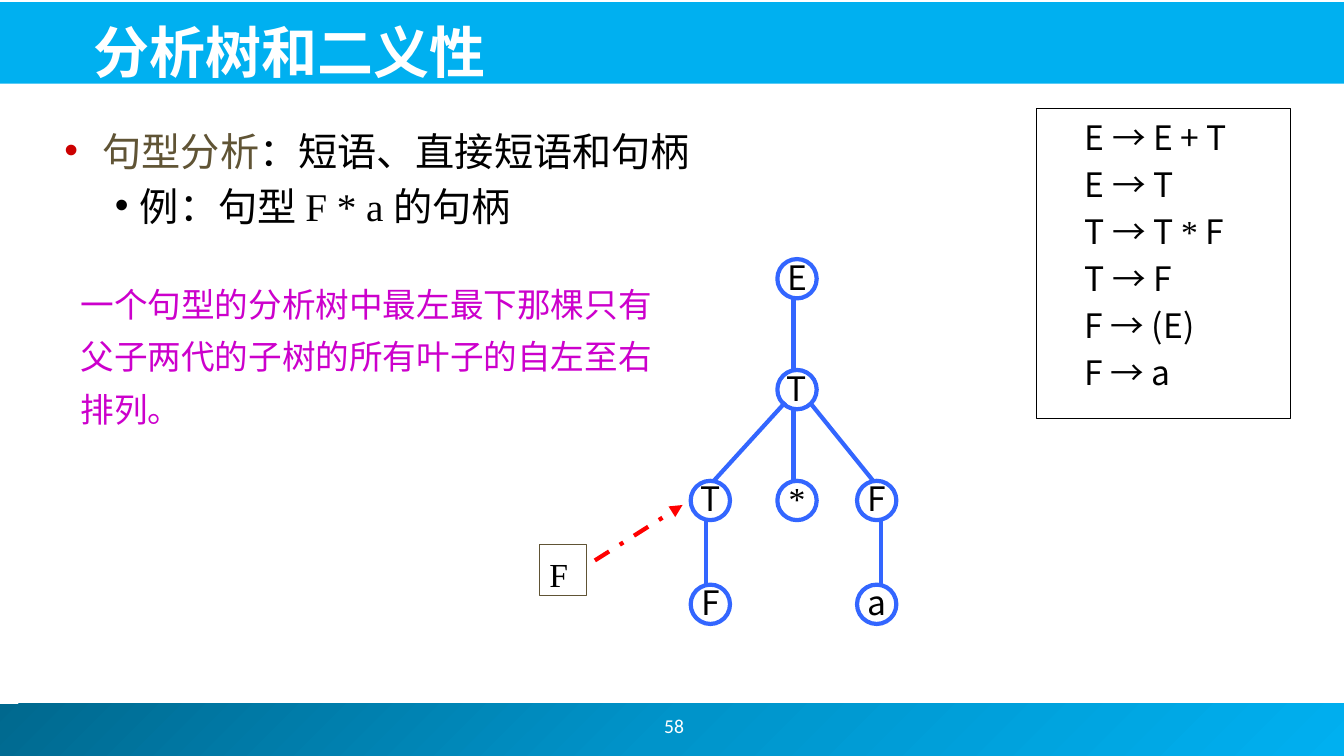
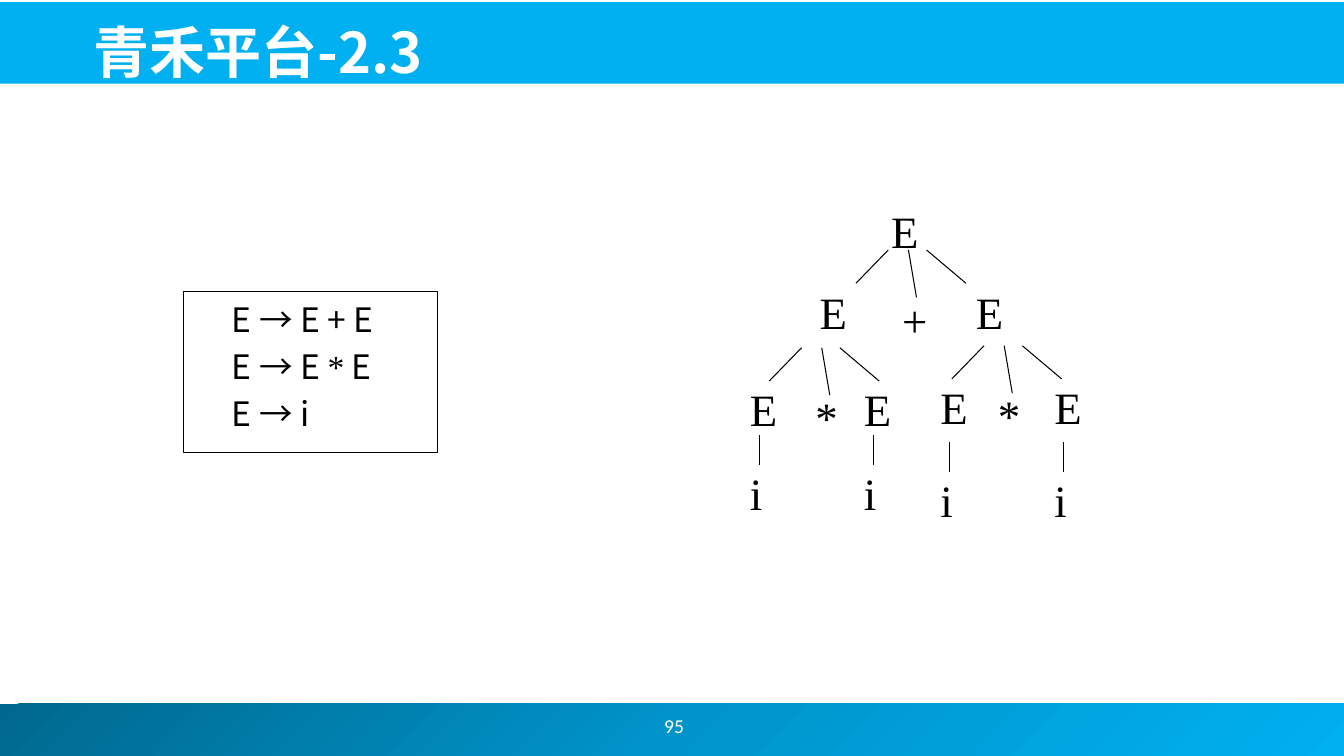
"""Build two slides on parse trees, each with a grammar box and a tree."""
from copy import deepcopy
from dataclasses import dataclass

from lxml.etree import SubElement
from pptx import Presentation
from pptx.dml.color import RGBColor
from pptx.enum.dml import MSO_LINE
from pptx.enum.shapes import MSO_CONNECTOR, MSO_SHAPE
from pptx.enum.text import MSO_ANCHOR, PP_ALIGN
from pptx.oxml.ns import qn
from pptx.util import Inches, Pt


@dataclass(frozen=True)
class Theme:
    sky: str = "00B0F0"
    footer: tuple = ((0, "00688E"), (0.5, "0094CA"), (1, "00B0F0"))
    white: str = "FFFFFF"
    black: str = "000000"
    olive: str = "605435"
    red: str = "FF0000"
    bullet: str = "CC0000"
    magenta: str = "CC00CC"
    blue: str = "3366FF"
    title: int = 40
    letter: int = 32
    body: int = 28
    text: int = 24
    number: int = 14
    thin: float = 0.75
    thick: float = 3
    sans: str = "Noto Sans CJK JP"
    cjk: str = "Noto Sans CJK SC"
    serif: str = "Times New Roman"
    plain: str = "Calibri"


T = Theme()

HANDLE = {
    "title": "分析树和二义性",
    "number": "58",
    "grammar": ["E → E + T", "E → T", "T → T * F", "T → F", "F → (E)", "F → a"],
    "grammar_at": (10.28, 1.08, 2.52, 3.07),
}
BULLETS = [
    ([("句型分析", T.olive), ("：短语、直接短语和句柄", T.black)], 0.38, 0.38, T.bullet),
    ([("例：句型 F * a 的句柄", T.black)], 0.75, 0.25, T.black),
]
DEFINITION = "一个句型的分析树中最左最下那棵只有父子两代的子树的所有叶子的自左至右排列。"
COLUMNS = (6.85, 7.71, 8.5)
ROWS = (2.57, 3.67, 4.77, 5.8)
NODES = [("E", 1, 0), ("T", 1, 1), ("T", 0, 2), ("*", 1, 2), ("F", 2, 2),
         ("F", 0, 3), ("a", 2, 3)]
NODE_SIZE = 0.39
EDGES = [(7.87, 2.96, 7.87, 3.67), (7.87, 4.07, 7.87, 4.77), (7.79, 3.99, 7.08, 4.77),
         (8.03, 3.99, 8.66, 4.77), (7, 5.17, 7, 5.8), (8.74, 5.17, 8.74, 5.8)]

EXERCISE = {
    "title": "青禾平台-2.3",
    "number": "95",
    "grammar": ["E → E + E", "E → E * E", "E → i"],
    "grammar_at": (1.82, 2.89, 2.52, 1.6),
}
ROOT = (8.74, 1.93)
FANS = [
    {"apex": (9.01, 2.48), "op": "+", "left": -0.98, "right": 0.57, "drop": None},
    {"apex": (8.15, 3.45), "op": "*", "left": -0.81, "right": 0.32, "drop": 0.83},
    {"apex": (9.96, 3.43), "op": "*", "left": -0.73, "right": 0.4, "drop": 0.92},
]
FAN_LINES = [(-0.2, 0, -0.52, 0.33), (0, 0, 0.08, 0.47), (0.18, 0, 0.57, 0.33)]


def rgb(color):
    return RGBColor.from_string(color)


def add_run(p, text, size, font, color, bold=False):
    r = p.add_run()
    r.text = text
    r.font.size, r.font.name, r.font.bold = Pt(size), font, bold
    r.font.color.rgb = rgb(color)
    ea = SubElement(r._r.get_or_add_rPr(), qn("a:ea"))
    ea.set("typeface", T.sans if font == T.sans else T.cjk)


def set_frame(sp, anchor=MSO_ANCHOR.TOP, insets=(0.1, 0.05, 0.1, 0.05), wrap=True):
    tf = sp.text_frame
    tf.word_wrap, tf.vertical_anchor = wrap, anchor
    tf.margin_left, tf.margin_top, tf.margin_right, tf.margin_bottom = map(Inches, insets)
    return tf


def add_text(s, at, **frame):
    return set_frame(s.shapes.add_textbox(*map(Inches, at)), **frame)


def add_box(s, at, kind=MSO_SHAPE.RECTANGLE, fill=None, line=None, width=T.thin):
    sp = s.shapes.add_shape(kind, *map(Inches, at))
    sp.shadow.inherit = False
    if fill:
        sp.fill.solid()
        sp.fill.fore_color.rgb = rgb(fill)
    else:
        sp.fill.background()
    if line:
        sp.line.color.rgb = rgb(line)
        sp.line.width = Pt(width)
    else:
        sp.line.fill.background()
    return sp


def add_line(s, ends, color=T.black, width=T.thin):
    c = s.shapes.add_connector(MSO_CONNECTOR.STRAIGHT, *map(Inches, ends))
    c.line.color.rgb = rgb(color)
    c.line.width = Pt(width)
    SubElement(c._element.spPr, qn("a:effectLst"))
    return c


def set_indent(p, left, hanging=0, bullet=None):
    pPr = p._p.get_or_add_pPr()
    pPr.set("marL", str(Inches(left)))
    pPr.set("indent", str(-Inches(hanging)))
    if bullet:
        color = SubElement(pPr, qn("a:buClr"))
        SubElement(color, qn("a:srgbClr")).set("val", bullet)
        SubElement(pPr, qn("a:buFont")).set("typeface", "Arial")
        SubElement(pPr, qn("a:buChar")).set("char", "•")


def fill_gradient(sp, stops):
    sp.fill.gradient()
    sp.fill.gradient_angle = 315
    gs_list = sp._element.spPr.find(".//" + qn("a:gsLst"))
    gs_list.insert(1, deepcopy(gs_list[0]))
    for stop, (position, color) in zip(sp.fill.gradient_stops, stops):
        stop.position = position
        stop.color.rgb = rgb(color)


def add_grammar(s, rules, at):
    tf = set_frame(add_box(s, at, line=T.black), insets=(0.1, 0.01, 0.1, 0.05))
    for i, rule in enumerate(rules):
        p = tf.paragraphs[0] if i == 0 else tf.add_paragraph()
        p.alignment, p.line_spacing = PP_ALIGN.LEFT, Pt(33.6)
        set_indent(p, 0.38)
        before, star, after = rule.partition("*")
        for text, font in ((before, T.sans), (star, T.serif), (after, T.sans)):
            if text:
                add_run(p, text, T.text, font, T.black)


def add_base(prs, content):
    s = prs.slides.add_slide(prs.slide_layouts[6])
    fill_gradient(add_box(s, (-0.05, 6.98, 13.39, 0.52)), T.footer)
    add_box(s, (-0.02, 0.02, 13.36, 0.81), fill=T.sky)
    tf = add_text(s, (0.83, 0.05, 12.06, 0.79), anchor=MSO_ANCHOR.BOTTOM, insets=(0.1, 0, 0.1, 0))
    add_run(tf.paragraphs[0], content["title"], T.title, T.sans, T.white, bold=True)
    tf = add_text(s, (5.24, 6.95, 2.89, 0.5), anchor=MSO_ANCHOR.MIDDLE)
    tf.paragraphs[0].alignment = PP_ALIGN.CENTER
    add_run(tf.paragraphs[0], content["number"], T.number, T.plain, T.white)
    add_grammar(s, content["grammar"], content["grammar_at"])
    return s


def add_node(s, label, column, row):
    at = (COLUMNS[column], ROWS[row], NODE_SIZE, NODE_SIZE)
    sp = add_box(s, at, MSO_SHAPE.OVAL, line=T.blue, width=T.thick)
    tf = set_frame(sp, MSO_ANCHOR.MIDDLE, (0, 0, 0, 0.04), wrap=False)
    p = tf.paragraphs[0]
    p.alignment = PP_ALIGN.CENTER
    add_run(p, label, T.text, T.serif if label == "*" else T.sans, T.black)


def add_handle_slide(prs):
    s = add_base(prs, HANDLE)
    tf = add_text(s, (0.54, 1.18, 6.93, 1.23), insets=(0.1, 0, 0.1, 0.05))
    for i, (runs, left, hanging, bullet) in enumerate(BULLETS):
        p = tf.paragraphs[0] if i == 0 else tf.add_paragraph()
        p.line_spacing, p.level = Pt(39.3), i
        set_indent(p, left, hanging, bullet)
        for text, color in runs:
            add_run(p, text, T.body, T.serif, color)
    tf = add_text(s, (0.7, 2.61, 6.07, 1.67), insets=(0.1, 0.08, 0.1, 0.05))
    tf.paragraphs[0].line_spacing = Pt(37.7)
    add_run(tf.paragraphs[0], DEFINITION, T.text, T.cjk, T.magenta)
    for ends in EDGES:
        add_line(s, ends, T.blue, T.thick)
    for node in NODES:
        add_node(s, *node)
    sp = add_box(s, (5.35, 5.4, 0.47, 0.51), line=T.olive)
    p = set_frame(sp, insets=(0.1, 0.09, 0.1, 0)).paragraphs[0]
    p.alignment = PP_ALIGN.LEFT
    add_run(p, "F", T.text, T.serif, T.black)
    arrow = add_line(s, (5.9, 5.56, 6.77, 5.01), T.red, T.thick)
    arrow.line.dash_style = MSO_LINE.DASH_DOT
    SubElement(arrow.line._get_or_add_ln(), qn("a:tailEnd")).set("type", "triangle")


def add_letter(s, text, x, y):
    tf = add_text(s, (x, y, 0.53, 0.64), insets=(0.1, 0.09, 0, 0))
    add_run(tf.paragraphs[0], text, T.letter, T.serif, T.black)


def add_fan(s, apex, op, left, right, drop):
    x, y = apex
    for x1, y1, x2, y2 in FAN_LINES:
        add_line(s, (x + x1, y + y1, x + x2, y + y2))
    add_letter(s, op, x - 0.16, y + 0.33)
    for dx in (left, right):
        child_x, child_y = x + dx, y + 0.25
        add_letter(s, "E", child_x, child_y)
        if drop:
            leaf_x, leaf_y = child_x + 0.19, child_y + drop
            add_letter(s, "i", child_x, leaf_y)
            add_line(s, (leaf_x, leaf_y - 0.21, leaf_x, leaf_y + 0.08))


def add_exercise_slide(prs):
    s = add_base(prs, EXERCISE)
    add_letter(s, "E", *ROOT)
    for fan in FANS:
        add_fan(s, **fan)


def main():
    prs = Presentation()
    prs.slide_width, prs.slide_height = Inches(13.33), Inches(7.5)
    add_handle_slide(prs)
    add_exercise_slide(prs)
    prs.save("out.pptx")


if __name__ == "__main__":
    main()
